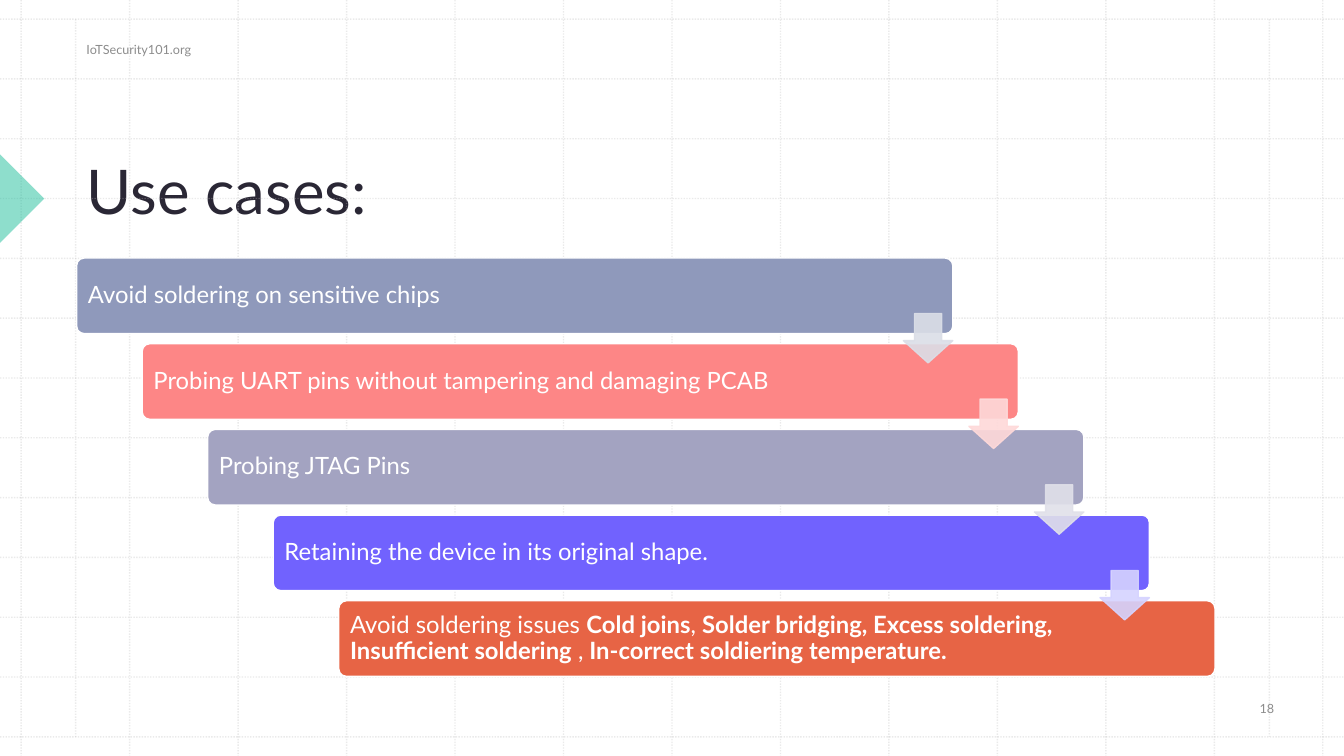
from pptx import Presentation
from pptx.dml.color import RGBColor
from pptx.enum import dml, shapes, text
from pptx.oxml.ns import qn
from pptx.util import Inches, Pt
from lxml import etree

COLORS = {
    "grid": "BCBCBC", "accent": "1EBE9B", "title": "2A2735",
    "muted": "8C8C8C", "white": "FFFFFF",
}
STEPS = [
    ("Avoid soldering on sensitive chips", "8F99BB", "DBDEE7"),
    ("Probing UART pins without tampering and damaging PCAB", "FD8686", "FED9D9"),
    ("Probing JTAG Pins", "A3A3C1", "E0E0E9"),
    ("Retaining the device in its original shape.", "7162FE", "D5D3FF"),
    ("Avoid soldering issues **Cold joins**, **Solder bridging, Excess soldering, "
     "Insufficient soldering** ,** In-correct soldiering temperature.**", "E76445", None),
]


def write(frame, content, size=9, color=COLORS["muted"], align=text.PP_ALIGN.LEFT,
          anchor=text.MSO_ANCHOR.MIDDLE, insets=(0.1, 0.05, 0.1, 0.05), spacing=None):
    frame.word_wrap = True
    frame.auto_size = text.MSO_AUTO_SIZE.NONE
    frame.vertical_anchor = anchor
    (frame.margin_left, frame.margin_top,
     frame.margin_right, frame.margin_bottom) = map(Inches, insets)
    paragraph = frame.paragraphs[0]
    paragraph.alignment = align
    if spacing:
        paragraph.line_spacing = spacing
    for index, part in enumerate(content.split("**")):
        if part:
            run = paragraph.add_run()
            run.text = part
            run.font.name = "Lato"
            run.font.size = Pt(size)
            run.font.bold = index % 2 == 1
            run.font.color.rgb = RGBColor.from_string(color)


def set_opacity(item, percent):
    for color in item._element.iter(qn("a:srgbClr")):
        etree.SubElement(color, qn("a:alpha")).set("val", str(percent * 1000))


class UseCasesSlide:
    def __init__(self, presentation):
        self.slide = presentation.slides.add_slide(presentation.slide_layouts[5])

    def grid_line(self, x1, y1, x2, y2):
        line = self.slide.shapes.add_connector(
            shapes.MSO_CONNECTOR.STRAIGHT, *map(Inches, (x1, y1, x2, y2)))
        line.line.color.rgb = RGBColor.from_string(COLORS["grid"])
        line.line.width = Pt(1)
        line.line.dash_style = dml.MSO_LINE.ROUND_DOT
        etree.SubElement(line._element.spPr, qn("a:effectLst"))
        set_opacity(line, 30)

    def shape(self, kind, box, fill, outline=None, adjustments=(), opacity=100):
        shape = self.slide.shapes.add_shape(kind, *map(Inches, box))
        shape.shadow.inherit = False
        shape.fill.solid()
        shape.fill.fore_color.rgb = RGBColor.from_string(fill)
        if outline:
            shape.line.color.rgb = RGBColor.from_string(outline)
            shape.line.width = Pt(1)
        else:
            shape.line.fill.background()
        for index, value in enumerate(adjustments):
            shape.adjustments[index] = value
        if opacity < 100:
            set_opacity(shape, opacity)
        return shape

    def title(self, content, box):
        heading = self.slide.shapes.title
        heading.left, heading.top, heading.width, heading.height = map(Inches, box)
        write(heading.text_frame, content, size=44, color=COLORS["title"],
              anchor=text.MSO_ANCHOR.BOTTOM)

    def label(self, content, box, **style):
        write(self.slide.shapes.add_textbox(*map(Inches, box)).text_frame, content, **style)

    def step(self, content, x, y, fill):
        bar = self.shape(shapes.MSO_SHAPE.ROUNDED_RECTANGLE, (x, y, 8.69, 0.75),
                         fill, COLORS["white"], (0.1,))
        write(bar.text_frame, content, size=17, color=COLORS["white"],
              insets=(0.09, 0.07, 1.22, 0.07), spacing=0.9)

    def arrow(self, x, y, fill):
        self.shape(shapes.MSO_SHAPE.DOWN_ARROW, (x, y, 0.49, 0.49),
                   fill, fill, (0.55, 0.45), 90)


def main():
    presentation = Presentation()
    presentation.slide_width, presentation.slide_height = Inches(13.33), Inches(7.5)
    page = UseCasesSlide(presentation)

    for i in range(13):
        column, row = 0.21 + i * 12.91 / 12, 0.19 + i * 7.12 / 12
        page.grid_line(column, 0, column, 7.5)
        page.grid_line(0, row, 13.33, row)
    for margin in (0.75, 12.59):
        page.grid_line(margin, 0.19, margin, 7.31)

    marker = page.shape(shapes.MSO_SHAPE.RIGHT_TRIANGLE, (-0.31, 1.66, 0.62, 0.62),
                        COLORS["accent"], opacity=50)
    marker.rotation = 225

    page.title("Use cases:", (0.76, 0.79, 11.29, 1.51))
    page.label("IoTSecurity101.org", (0.76, 0.26, 4.5, 0.46))
    page.label("18", (12.03, 6.8, 1.07, 0.46), align=text.PP_ALIGN.CENTER)

    places = [(0.76 + i * 0.65, 2.56 + i * 0.85) for i in range(len(STEPS))]
    for (content, fill, _), (x, y) in zip(STEPS, places):
        page.step(content, x, y, fill)
    for (_, _, tint), (x, y) in zip(STEPS[:-1], places):
        page.arrow(x + 8.2, y + 0.55, tint)

    presentation.save("out.pptx")


if __name__ == "__main__":
    main()
